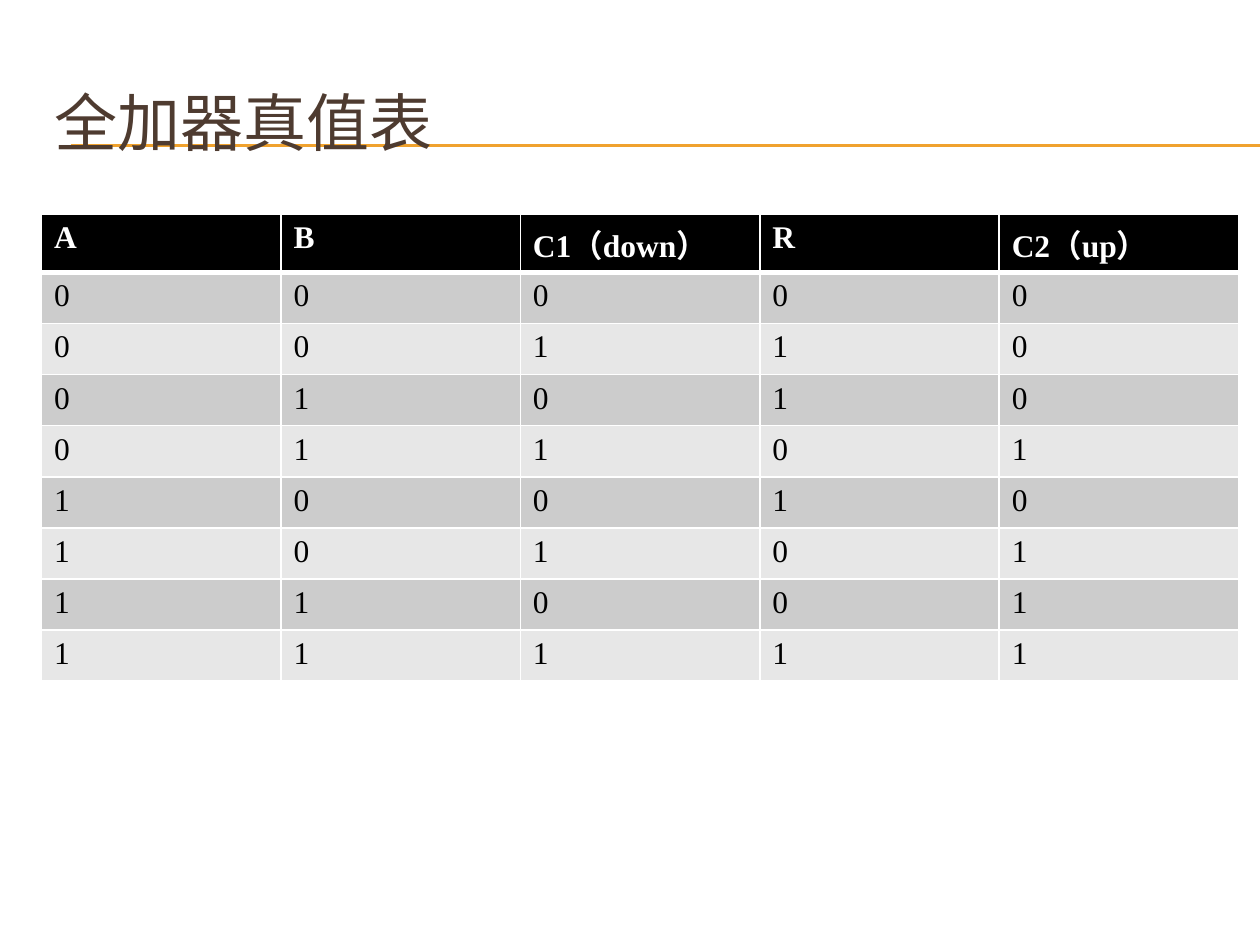
from itertools import product

from lxml.etree import SubElement
from pptx import Presentation
from pptx.dml.color import RGBColor
from pptx.enum.shapes import MSO_CONNECTOR as Connector
from pptx.enum.text import MSO_ANCHOR as Anchor, MSO_AUTO_SIZE as AutoSize, PP_ALIGN as Align
from pptx.oxml.ns import qn
from pptx.util import Inches, Pt


def color(value):
    return RGBColor.from_string(value)


def apply(target, values):
    for name, value in values.items():
        setattr(target, name, value)


class SlideBuilder:
    accent = "F0A22E"
    white = "FFFFFF"
    header_fill = "000000"
    band_fills = ("CCCCCC", "E7E7E7")
    title_font = {"name": "Karla", "size": Pt(36), "bold": False}
    header_font = {"name": "Times New Roman", "size": Pt(18), "bold": True}
    body_font = {**header_font, "bold": False}

    def __init__(self, deck):
        self.page = deck.slides.add_slide(deck.slide_layouts[5])

    def text(self, frame, text, font, text_color):
        para = frame.paragraphs[0]
        para.alignment = Align.LEFT
        span = para.add_run()
        span.text = text
        apply(span.font, font)
        span.font.color.rgb = color(text_color)

    def rule(self, left, right, top):
        line = self.page.shapes.add_connector(
            Connector.STRAIGHT, Inches(left), Inches(top), Inches(right), Inches(top))
        line.line.color.rgb = color(self.accent)
        line.line.width = Pt(0.75)
        SubElement(line.element.spPr, qn("a:effectLst"))

    def title(self, text, left, top, width, height):
        box = self.page.shapes.title
        apply(box, {"left": Inches(left), "top": Inches(top),
                    "width": Inches(width), "height": Inches(height)})
        apply(box.text_frame, {"vertical_anchor": Anchor.MIDDLE, "word_wrap": True,
                               "auto_size": AutoSize.NONE})
        self.text(box.text_frame, text, self.title_font, "4E3B30")
        self.page.shapes.element.append(box.element)

    def border(self, cell, side, points):
        edge = SubElement(cell._tc.get_or_add_tcPr(), qn(f"a:ln{side}"), w=str(Pt(points)))
        fill = SubElement(edge, qn("a:solidFill"))
        SubElement(fill, qn("a:srgbClr"), val=self.white)

    def cell(self, cell, text, row):
        is_header = row == 0
        widths = {"L": 1, "R": 1, "T": 3 if row == 1 else 1, "B": 3 if is_header else 1}
        for side, points in widths.items():
            self.border(cell, side, points)
        cell.fill.solid()
        cell.fill.fore_color.rgb = color(
            self.header_fill if is_header else self.band_fills[(row - 1) % 2])
        if is_header:
            self.text(cell.text_frame, text, self.header_font, self.white)
        else:
            self.text(cell.text_frame, text, self.body_font, "000000")

    def table(self, rows, left, top, width, height):
        grid = self.page.shapes.add_table(
            len(rows), len(rows[0]),
            Inches(left), Inches(top), Inches(width), Inches(height)).table
        for row, values in enumerate(rows):
            for column, value in enumerate(values):
                self.cell(grid.cell(row, column), str(value), row)


def full_adder_rows():
    rows = [("A", "B", "C1（down）", "R", "C2（up）")]
    for bits in product((0, 1), repeat=3):
        carry, result = divmod(sum(bits), 2)
        rows.append((*bits, result, carry))
    return rows


def main():
    deck = Presentation()
    apply(deck, {"slide_width": Inches(10), "slide_height": Inches(7.5)})
    builder = SlideBuilder(deck)
    for top in (1.15, 1.16):
        builder.rule(0.56, 10, top)
    builder.title("全加器真值表", 0.33, 0.5, 9.5, 0.92)
    builder.table(full_adder_rows(), 0.33, 1.7, 9.5, 3.65)
    deck.save("out.pptx")


if __name__ == "__main__":
    main()
